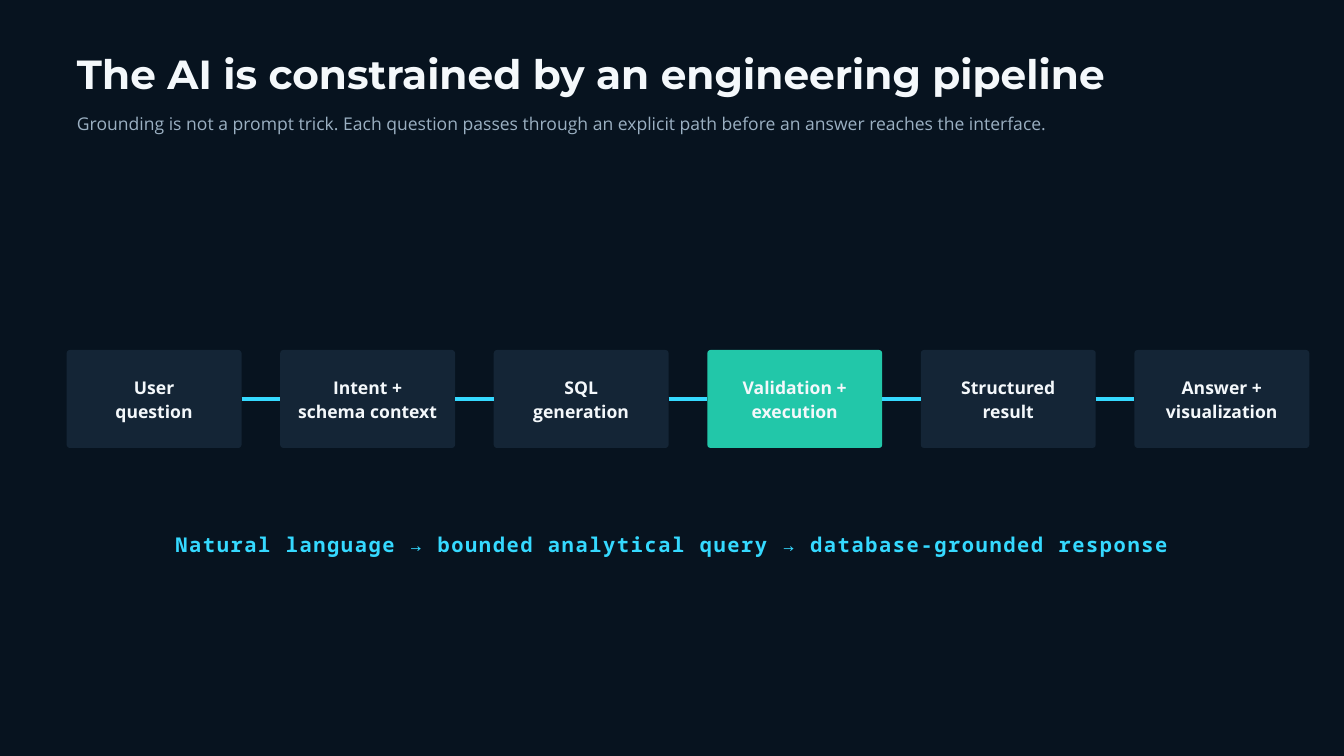
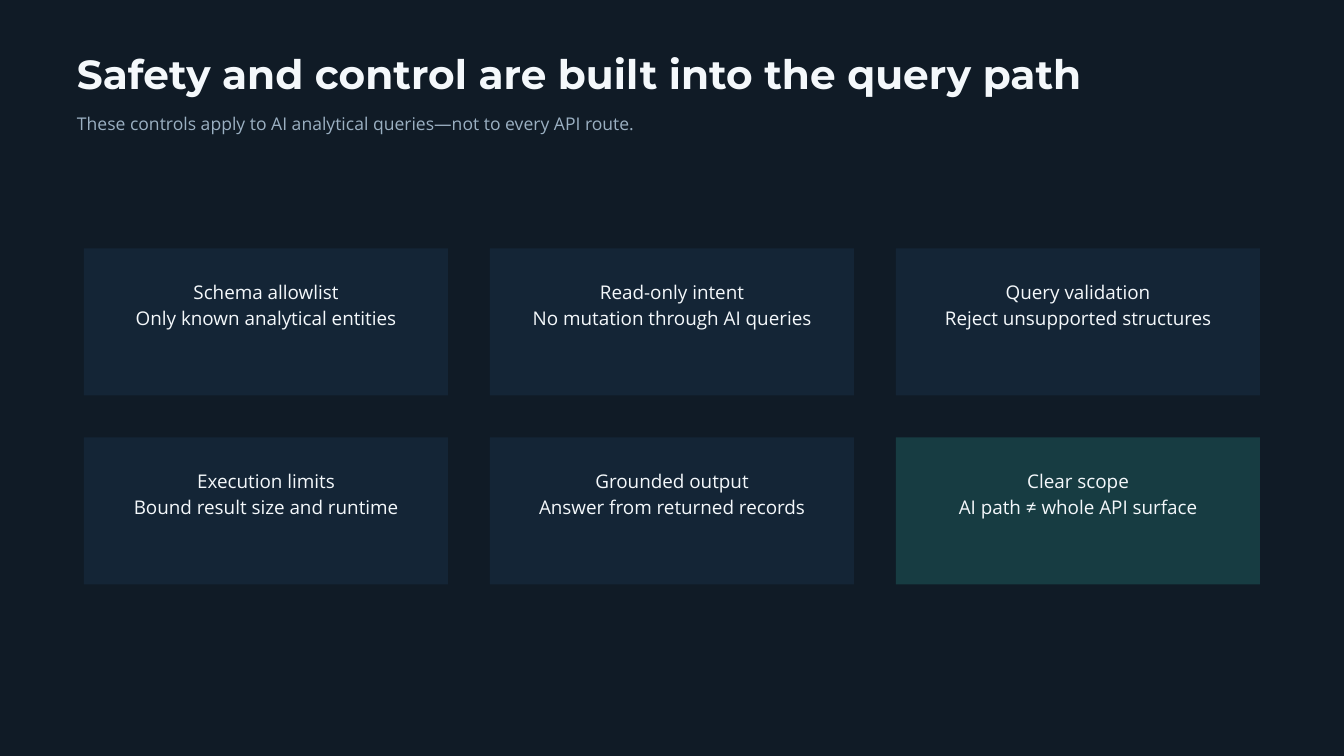
from itertools import pairwise

from lxml.etree import SubElement
from pptx import Presentation
from pptx.dml.color import RGBColor
from pptx.enum.shapes import MSO_CONNECTOR, MSO_SHAPE
from pptx.enum.text import MSO_ANCHOR, PP_ALIGN
from pptx.oxml.ns import qn
from pptx.util import Pt

WHITE, GREY, CYAN = "F4F8FB", "9BB0C2", "35D9FF"
NAVY, GREEN, TEAL = "142536", "22C7A9", "173C42"
HEAD, BODY, MONO = "Montserrat", "Open Sans", "Noto Sans Mono"


def paint(color, hue):
    """Set a fill, line or font colour from a hex string."""
    if hasattr(color, "solid"):
        color.solid()
        color = color.fore_color
    else:
        color = color.color
    color.rgb = RGBColor.from_string(hue)


def write(shape, text, face, size, hue, lead, bold=False, align=PP_ALIGN.CENTER,
          pad=(0, 0, 0, 0), anchor=MSO_ANCHOR.TOP):
    """Fill a shape with text; pad is left, top, right, bottom."""
    frame = shape.text_frame
    frame.text = text
    frame.word_wrap = True
    frame.vertical_anchor = anchor
    frame.margin_left, frame.margin_top, frame.margin_right, frame.margin_bottom = map(Pt, pad)
    for para in frame.paragraphs:
        para.alignment = align
        para.line_spacing = Pt(lead)
        for run in para.runs:
            run.font.name, run.font.size, run.font.bold = face, Pt(size), bold
            paint(run.font, hue)


deck = Presentation()
deck.slide_width, deck.slide_height = Pt(1440), Pt(810)

# Shared background, title and subtitle
heads = [
    ("07131F", "The AI is constrained by an engineering pipeline",
     "Grounding is not a prompt trick. Each question passes through an explicit path "
     "before an answer reaches the interface."),
    ("101B26", "Safety and control are built into the query path",
     "These controls apply to AI analytical queries—not to every API route."),
]
for back, title, sub in heads:
    slide = deck.slides.add_slide(deck.slide_layouts[6])
    paint(slide.background.fill, back)
    box = slide.shapes.add_textbox(Pt(82.5), Pt(59), Pt(1125), Pt(46))
    write(box, title, HEAD, 43.5, WHITE, 45.7, True, PP_ALIGN.LEFT)
    box = slide.shapes.add_textbox(Pt(82.5), Pt(118), Pt(1050), Pt(24.5))
    write(box, sub, BODY, 18.8, GREY, 25.3, False, PP_ALIGN.LEFT)
flow, guard = deck.slides

# Slide 1: pipeline steps
steps = ["User\nquestion", "Intent +\nschema context", "SQL\ngeneration",
         "Validation +\nexecution", "Structured\nresult", "Answer +\nvisualization"]
boxes = []
for i, step in enumerate(steps):
    box = flow.shapes.add_shape(MSO_SHAPE.ROUNDED_RECTANGLE,
                                Pt(71.4 + 228.8 * i), Pt(375), Pt(187.4), Pt(105))
    box.adjustments[0] = 0.034
    box.shadow.inherit = False
    box.line.fill.background()
    paint(box.fill, GREEN if step.startswith("Validation") else NAVY)
    write(box, step, BODY, 18.8, WHITE, 26.2, True,
          pad=(4.5, 3.5, 4.5, 5.5), anchor=MSO_ANCHOR.MIDDLE)
    boxes.append(box)

# Links between neighbouring steps
for left, right in pairwise(boxes):
    link = flow.shapes.add_connector(MSO_CONNECTOR.STRAIGHT, 0, 0, 0, 0)
    link.begin_connect(left, 3)
    link.end_connect(right, 1)
    link.line.width = Pt(3.75)
    paint(link.line, CYAN)
    SubElement(link._element.spPr, qn("a:effectLst"))

# Summary line with wide letter spacing
note = flow.shapes.add_textbox(Pt(187.5), Pt(566), Pt(1065), Pt(29.5))
write(note, "Natural language → bounded analytical query → database-grounded response",
      MONO, 21.8, CYAN, 30.4, True)
note.text_frame.paragraphs[0].runs[0]._r.get_or_add_rPr().set("spc", "170")

# Slide 2: control cards, three to a row
cards = ["Schema allowlist\nOnly known analytical entities",
         "Read-only intent\nNo mutation through AI queries",
         "Query validation\nReject unsupported structures",
         "Execution limits\nBound result size and runtime",
         "Grounded output\nAnswer from returned records",
         "Clear scope\nAI path ≠ whole API surface"]
wide, high, gap = 390, 157.5, 45
for i, text in enumerate(cards):
    row, col = divmod(i, 3)
    card = guard.shapes.add_shape(MSO_SHAPE.RECTANGLE, Pt(90 + (wide + gap) * col),
                                  Pt(266.25 + (high + gap) * row), Pt(wide), Pt(high))
    card.shadow.inherit = False
    card.line.fill.background()
    paint(card.fill, TEAL if text.startswith("Clear") else NAVY)
    write(card, text, BODY, 20.2, WHITE, 27.3, pad=(22.5, 31.7, 22.5, 0))

deck.save("out.pptx")
